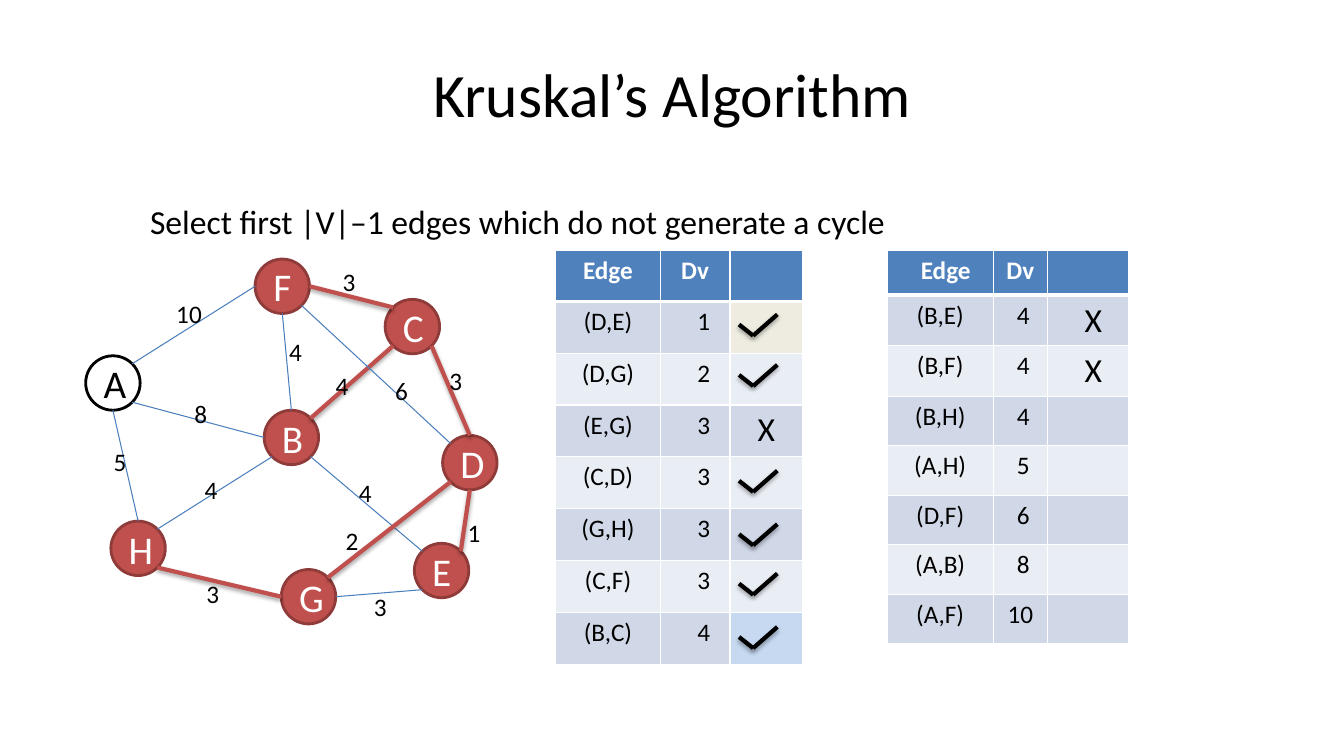
"""Build a slide on Kruskal's algorithm with a weighted graph and two edge tables."""
import math
from dataclasses import dataclass

from lxml import etree
from pptx import Presentation, util as u
from pptx.dml.color import RGBColor
from pptx.enum import shapes, text
from pptx.oxml import parse_xml
from pptx.oxml.ns import nsdecls, qn

PX = 9144
FONT = "Calibri"
DIAMETER = 54
COLORS = {
    "black": "000000", "white": "FFFFFF", "red": "C0504D", "dark_red": "8E3B39",
    "blue": "4B7EBC", "header": "4F81BD", "band": "D0D8E8", "light_band": "E9EDF4",
    "cream": "EEECE1", "sky": "C6D9F1",
}


@dataclass(frozen=True)
class Node:
    left: int
    top: int
    chosen: bool = True

    def site(self, index: int) -> tuple[int, int]:
        radius, angle = DIAMETER / 2, math.radians(45 * index)
        return (round(self.left + radius - radius * math.sin(angle)),
                round(self.top + radius - radius * math.cos(angle)))


@dataclass(frozen=True)
class Edge:
    start: str
    start_site: int
    end: str
    end_site: int
    weight: str
    label: tuple[int, int, int]
    chosen: bool = False


@dataclass(frozen=True)
class Grid:
    left: int
    height: int
    header: int
    columns: tuple[int, int, int]
    pads: tuple[int, int, int]
    rows: tuple[tuple[str, str, str], ...]
    header_pad: int = 0


NODES = {
    "F": Node(253, 257), "A": Node(85, 353, False), "H": Node(110, 517),
    "G": Node(279, 565), "E": Node(411, 539), "D": Node(439, 432),
    "C": Node(382, 297), "B": Node(262, 407),
}
EDGES = (
    Edge("F", 2, "A", 7, "10", (165, 291, 53)),
    Edge("A", 4, "H", 0, "5", (103, 438, 23)),
    Edge("H", 5, "G", 2, "3", (195, 569, 30), True),
    Edge("G", 6, "E", 3, "3", (361, 582, 29)),
    Edge("E", 7, "D", 4, "1", (454, 508, 26), True),
    Edge("D", 0, "C", 5, "3", (436, 358, 26), True),
    Edge("C", 1, "F", 6, "3", (330, 259, 44), True),
    Edge("B", 7, "C", 3, "4", (323, 362, 24), True),
    Edge("B", 0, "F", 4, "4", (277, 329, 27)),
    Edge("B", 2, "A", 5, "8", (183, 390, 26)),
    Edge("B", 3, "H", 7, "4", (193, 466, 25)),
    Edge("B", 5, "E", 1, "4", (346, 469, 22)),
    Edge("D", 1, "F", 5, "6", (382, 367, 28)),
    Edge("D", 3, "G", 7, "2", (333, 516, 23), True),
)
GRIDS = (
    Grid(551, 411, 51, (104, 69, 72), (0, 17, 0), (
        ("(D,E)", "1", ""), ("(D,G)", "2", ""), ("(E,G)", "3", "X"), ("(C,D)", "3", ""),
        ("(G,H)", "3", ""), ("(C,F)", "3", ""), ("(B,C)", "4", ""))),
    Grid(880, 389, 45, (105, 54, 80), (0, 6, 11), (
        ("(B,E)", "4", "X"), ("(B,F)", "4", "X"), ("(B,H)", "4", ""), ("(A,H)", "5", ""),
        ("(D,F)", "6", ""), ("(A,B)", "8", ""), ("(A,F)", "10", "")), header_pad=11),
)
HIGHLIGHTS = {"(D,E)": "cream", "(B,C)": "sky"}
TICK_TOPS = (322, 372, 477, 530, 579, 632)


def rgb(name: str) -> RGBColor:
    return RGBColor.from_string(COLORS[name])


def write(tf, content: str, size: int, color: str = "black", align=None, bold=False) -> None:
    tf.word_wrap = True
    p = tf.paragraphs[0]
    p.text = content
    p.alignment = align
    p.font.name, p.font.size, p.font.bold = FONT, u.Pt(size), bold
    p.font.color.rgb = rgb(color)


def add_text(parent, left: int, top: int, width: int, height: int,
             content: str, size: int) -> None:
    tb = parent.add_textbox(left * PX, top * PX, width * PX, height * PX)
    write(tb.text_frame, content, size)


def add_line(parent, start: tuple[int, int], end: tuple[int, int],
             color: str, weight: float, shadow: bool) -> None:
    c = parent.add_connector(shapes.MSO_CONNECTOR.STRAIGHT,
                             *(value * PX for value in start + end))
    c.line.color.rgb, c.line.width = rgb(color), u.Pt(weight)
    effects = etree.SubElement(c._element.spPr, qn("a:effectLst"))
    if shadow:
        effects.append(parse_xml(
            f'<a:outerShdw {nsdecls("a")} blurRad="{u.Pt(3.1)}" dist="{u.Pt(1.8)}" '
            f'dir="5400000" rotWithShape="0"><a:srgbClr val="{COLORS["black"]}">'
            '<a:alpha val="35000"/></a:srgbClr></a:outerShdw>'))


def add_node(parent, name: str, node: Node) -> None:
    sp = parent.add_shape(shapes.MSO_SHAPE.OVAL, node.left * PX, node.top * PX,
                          DIAMETER * PX, DIAMETER * PX)
    sp.shadow.inherit = False
    sp.fill.solid()
    sp.fill.fore_color.rgb = rgb("red" if node.chosen else "white")
    sp.line.color.rgb = rgb("dark_red" if node.chosen else "black")
    sp.line.width = u.Pt(2)
    sp.text_frame.vertical_anchor = text.MSO_ANCHOR.MIDDLE
    write(sp.text_frame, name, 28, "white" if node.chosen else "black",
          text.PP_ALIGN.CENTER)


def add_edge(parent, edge: Edge) -> None:
    add_line(parent, NODES[edge.start].site(edge.start_site),
             NODES[edge.end].site(edge.end_site),
             "red" if edge.chosen else "blue", 3 if edge.chosen else 0.75, edge.chosen)


def style_cell(cell, content: str, fill: str, pad: int, header: bool) -> None:
    tc_pr = cell._tc.get_or_add_tcPr()
    for side in "LRTB":
        width = u.Pt(3 if header and side == "B" else 1)
        tc_pr.append(parse_xml(
            f'<a:ln{side} {nsdecls("a")} w="{width}"><a:solidFill>'
            f'<a:srgbClr val="{COLORS["white"]}"/></a:solidFill></a:ln{side}>'))
    cell.fill.solid()
    cell.fill.fore_color.rgb = rgb(fill)
    cell.margin_left = (10 + pad) * PX
    if content:
        write(cell.text_frame, content, 24 if content == "X" else 18,
              "white" if header else "black", text.PP_ALIGN.CENTER, header)


def add_grid(parent, grid: Grid) -> None:
    rows = (("Edge", "Dv", ""),) + grid.rows
    table = parent.add_table(len(rows), 3, grid.left * PX, 248 * PX,
                             sum(grid.columns) * PX, grid.height * PX).table
    for column, width in zip(table.columns, grid.columns):
        column.width = width * PX
    for i, row in enumerate(rows):
        header = i == 0
        table.rows[i].height = (grid.header * PX if header else
                                (grid.height - grid.header) * PX // len(grid.rows))
        pads = (grid.header_pad, 0, 0) if header else grid.pads
        band = "header" if header else "band" if i % 2 else "light_band"
        for j, content in enumerate(row):
            fill = HIGHLIGHTS.get(row[0], band) if j == 2 else band
            pad = 0 if content == "10" else pads[j]
            style_cell(table.cell(i, j), content, fill, pad, header)


def add_tick(parent, top: int) -> None:
    group = parent.add_group_shape().shapes
    corner = (747, top + 11)
    add_line(group, (733, top), corner, "black", 3, True)
    add_line(group, corner, (771, top - 10), "black", 3, True)


def main() -> None:
    prs = Presentation()
    prs.slide_width, prs.slide_height = 1333 * PX, 750 * PX
    s = prs.slides.add_slide(prs.slide_layouts.get_by_name("Title Only"))
    title = s.shapes.title
    title.left, title.top, title.width, title.height = (v * PX for v in (67, 30, 1200, 125))
    title.text_frame.vertical_anchor = text.MSO_ANCHOR.MIDDLE
    write(title.text_frame, "Kruskal’s Algorithm", 44, align=text.PP_ALIGN.CENTER)
    add_text(s.shapes, 139, 194, 1150, 555,
             "Select first |V|–1 edges which do not generate a cycle", 24)
    graph = s.shapes.add_group_shape().shapes
    for name, node in NODES.items():
        add_node(graph, name, node)
    for edge in EDGES:
        add_edge(graph, edge)
    for edge in EDGES:
        left, top, width = edge.label
        add_text(graph, left, top, width, 40, edge.weight, 18)
    for grid in GRIDS:
        add_grid(s.shapes, grid)
    for top in TICK_TOPS:
        add_tick(s.shapes, top)
    prs.save("out.pptx")


if __name__ == "__main__":
    main()
